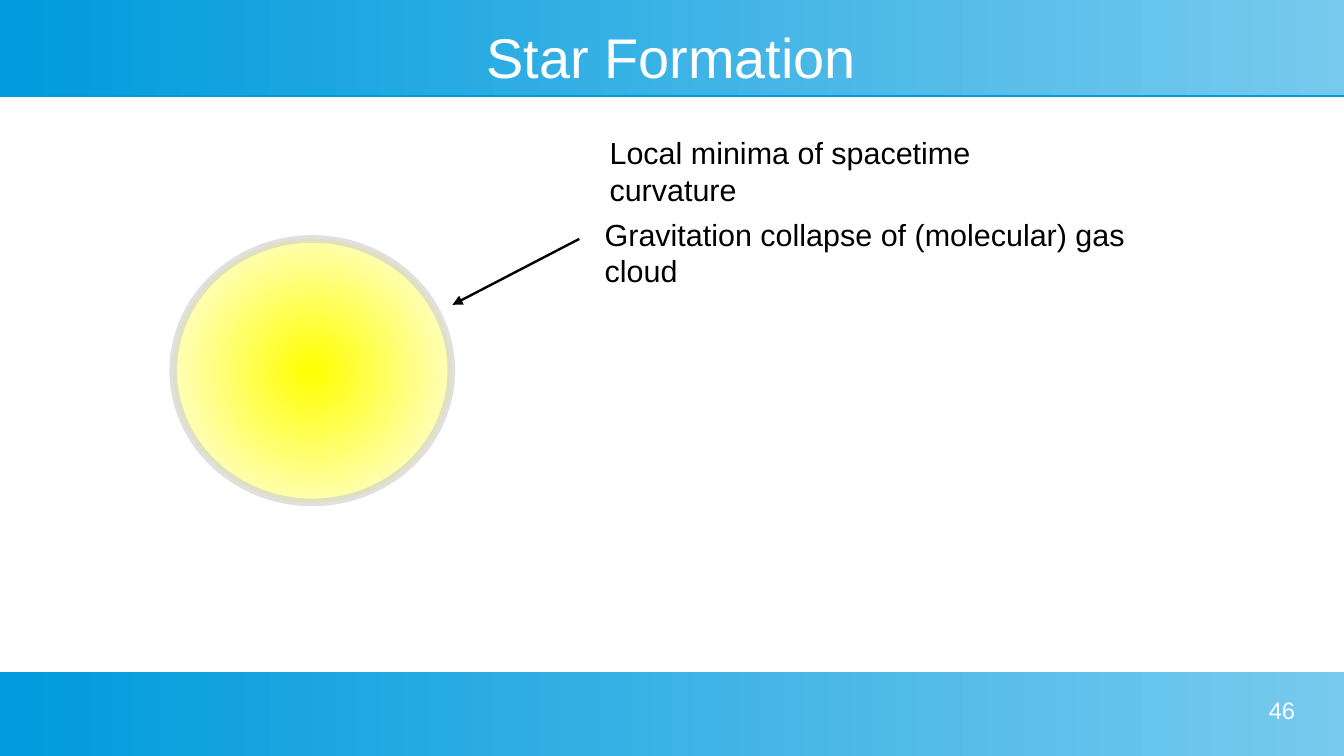
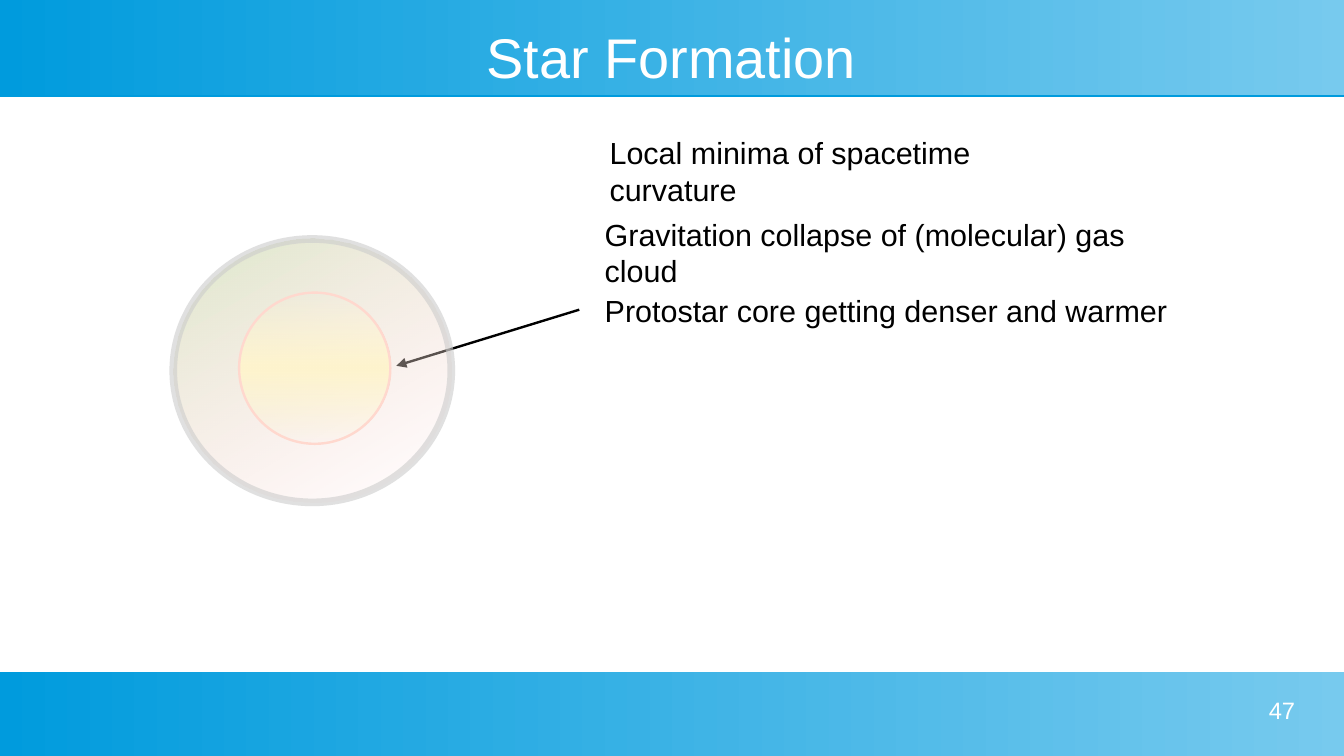
"""Build two slides on how a star forms."""
from dataclasses import dataclass

from lxml import etree
from pptx import Presentation
from pptx import util as u
from pptx.dml.color import RGBColor
from pptx.enum import shapes, text
from pptx.oxml.ns import qn

WIDE, HIGH = u.Inches(11.02), u.Inches(6.2)
BLUE, SKY, WHITE, BLACK = "009BDD", "77CAEE", "FFFFFF", "000000"
FONT = "Arial"
FIRST = 46


@dataclass(frozen=True)
class Box:
    """A frame in percent of the slide's width and height."""
    x: float
    y: float
    w: float
    h: float

    def rect(self) -> tuple:
        """Return left, top, width and height as lengths."""
        return across(self.x), down(self.y), across(self.w), down(self.h)


@dataclass(frozen=True)
class Stop:
    """A gradient stop with its place and opacity in percent."""
    at: int
    tint: str
    alpha: int = 100


@dataclass(frozen=True)
class Disc:
    """A gas ball; no angle means a round gradient."""
    box: Box
    stops: tuple
    angle: int | None
    edge: str
    width: float
    alpha: int = 100


@dataclass(frozen=True)
class Note:
    """A line of explanation."""
    box: Box
    words: str


@dataclass(frozen=True)
class Arrow:
    """A pointer from a note to a disc, in percent."""
    x: float
    y: float
    to_x: float
    to_y: float


@dataclass(frozen=True)
class Page:
    """The content of one slide."""
    notes: tuple
    arrow: Arrow
    discs: tuple


BANDS = (Box(0, 0, 100, 12.58), Box(0, 88.87, 100, 11.13))
TITLE = Box(3.54, 3.23, 92.83, 8.39)
NUMBER = Box(73.23, 92.1, 23.14, 6.29)
CLOUD = Box(12.89, 31.61, 20.69, 34.84)
CORE = Box(17.79, 38.71, 11.25, 20)

NOTES = (
    Note(Box(44.46, 16.94, 38.66, 5.97), "Local minima of spacetime curvature"),
    Note(Box(44.1, 27.74, 46.37, 5.97), "Gravitation collapse of (molecular) gas cloud"),
    Note(Box(44.1, 37.9, 46.37, 10.48), "Protostar core getting denser and warmer"),
)

PAGES = (
    Page(NOTES[:2], Arrow(43.1, 31.61, 33.67, 40.32), (
        Disc(CLOUD, (Stop(0, "FFFF00"), Stop(100, WHITE)), None, "CCCCCC", 4.5, 60),
    )),
    Page(NOTES, Arrow(43.1, 40.97, 29.49, 48.39), (
        Disc(CLOUD, (Stop(0, "DDE8CB"), Stop(100, "FFD7D7", 0)), 60, "CCCCCC", 4.5, 60),
        Disc(CORE, (Stop(0, "FFF5CE", 0), Stop(50, "FFF5CE"), Stop(100, "FFF5CE", 0)),
             90, "FFD8CE", 1.42),
    )),
)


def across(part: float) -> int:
    """Turn a percent of the width into a length."""
    return round(WIDE * part / 100)


def down(part: float) -> int:
    """Turn a percent of the height into a length."""
    return round(HIGH * part / 100)


def color(tint: str) -> RGBColor:
    """Turn a hex string into a colour."""
    return RGBColor.from_string(tint)


def node(root, tag: str, **attrs):
    """Add a drawing element below root."""
    return etree.SubElement(root, qn(f"a:{tag}"), {k: str(v) for k, v in attrs.items()})


def tinge(root, tint: str, alpha: int = 100) -> None:
    """Add a colour element with its opacity."""
    node(node(root, "srgbClr", val=tint), "alpha", val=alpha * 1000)


def blend(shape, stops: tuple, angle: int | None) -> None:
    """Fill a shape with a gradient."""
    shape.fill.background()
    none = shape.element.spPr.find(qn("a:noFill"))
    grad = etree.Element(qn("a:gradFill"), rotWithShape="1")
    ramp = node(grad, "gsLst")
    for stop in stops:
        tinge(node(ramp, "gs", pos=stop.at * 1000), stop.tint, stop.alpha)
    if angle is None:
        node(node(grad, "path", path="circle"), "fillToRect",
             l=50000, t=50000, r=50000, b=50000)
    else:
        node(grad, "lin", ang=angle * 60000, scaled=0)
    none.getparent().replace(none, grad)


def write(frame, words: str, *, size: float = 18, tint: str = BLACK,
          align=text.PP_ALIGN.LEFT, anchor=text.MSO_ANCHOR.TOP,
          pad: tuple = (0.1, 0.05)) -> None:
    """Put formatted text in a frame."""
    frame.word_wrap = True
    frame.auto_size = text.MSO_AUTO_SIZE.NONE
    frame.vertical_anchor = anchor
    frame.margin_left = frame.margin_right = u.Inches(pad[0])
    frame.margin_top = frame.margin_bottom = u.Inches(pad[1])
    para = frame.paragraphs[0]
    para.alignment = align
    run = para.add_run()
    run.text = words
    run.font.name = FONT
    run.font.size = u.Pt(size)
    run.font.color.rgb = color(tint)


def add_band(slide, box: Box):
    """Draw a blue band with a thin hard shadow."""
    band = slide.shapes.add_shape(shapes.MSO_SHAPE.RECTANGLE, *box.rect())
    blend(band, (Stop(0, SKY), Stop(100, BLUE)), 180)
    band.line.fill.background()
    band.shadow.inherit = False
    glow = band.element.spPr.find(qn("a:effectLst"))
    tinge(node(glow, "outerShdw", blurRad=0, dist=u.Pt(0.9), dir=90 * 60000,
               algn="ctr", rotWithShape=0), BLUE)
    return band


def set_bands(deck, slide) -> None:
    """Place the bands on the slide master."""
    for num, box in enumerate(BANDS):
        band = add_band(slide, box).element
        band.nvSpPr.cNvPr.set("id", str(100 + num))
        deck.slide_master.shapes.element.insert(2 + num, band)


def add_disc(slide, disc: Disc) -> None:
    """Draw a gas ball."""
    ball = slide.shapes.add_shape(shapes.MSO_SHAPE.OVAL, *disc.box.rect())
    blend(ball, disc.stops, disc.angle)
    ball.line.width = u.Pt(disc.width)
    ball.line.color.rgb = color(disc.edge)
    tone = ball.element.spPr.find(qn("a:ln")).find(".//" + qn("a:srgbClr"))
    node(tone, "alpha", val=disc.alpha * 1000)
    ball.shadow.inherit = False


def add_arrow(slide, arrow: Arrow) -> None:
    """Draw a pointer with a triangle at its end."""
    link = slide.shapes.add_connector(
        shapes.MSO_CONNECTOR.STRAIGHT, across(arrow.x), down(arrow.y),
        across(arrow.to_x), down(arrow.to_y))
    link.line.width = u.Pt(1.42)
    link.line.color.rgb = color(BLACK)
    prop = link.element.spPr
    node(prop.find(qn("a:ln")), "tailEnd", type="triangle")
    node(prop, "effectLst")


def add_page(slide, page: Page, num: int) -> None:
    """Fill one slide."""
    write(slide.shapes.title.text_frame, "Star Formation", size=33, tint=WHITE,
          align=text.PP_ALIGN.CENTER, anchor=text.MSO_ANCHOR.MIDDLE, pad=(0, 0))
    add_arrow(slide, page.arrow)
    for note in page.notes:
        write(slide.shapes.add_textbox(*note.box.rect()).text_frame, note.words)
    for disc in page.discs:
        add_disc(slide, disc)
    write(slide.shapes.add_textbox(*NUMBER.rect()).text_frame, str(num), size=14,
          tint=WHITE, align=text.PP_ALIGN.RIGHT, pad=(0, 0))


def main() -> None:
    """Build and save the deck."""
    deck = Presentation()
    deck.slide_width, deck.slide_height = WIDE, HIGH
    base = deck.slide_layouts[5]
    head = base.placeholders[0]
    head.left, head.top, head.width, head.height = TITLE.rect()
    for num, page in enumerate(PAGES, FIRST):
        slide = deck.slides.add_slide(base)
        if num == FIRST:
            set_bands(deck, slide)
        add_page(slide, page, num)
    deck.save("out.pptx")


if __name__ == "__main__":
    main()
